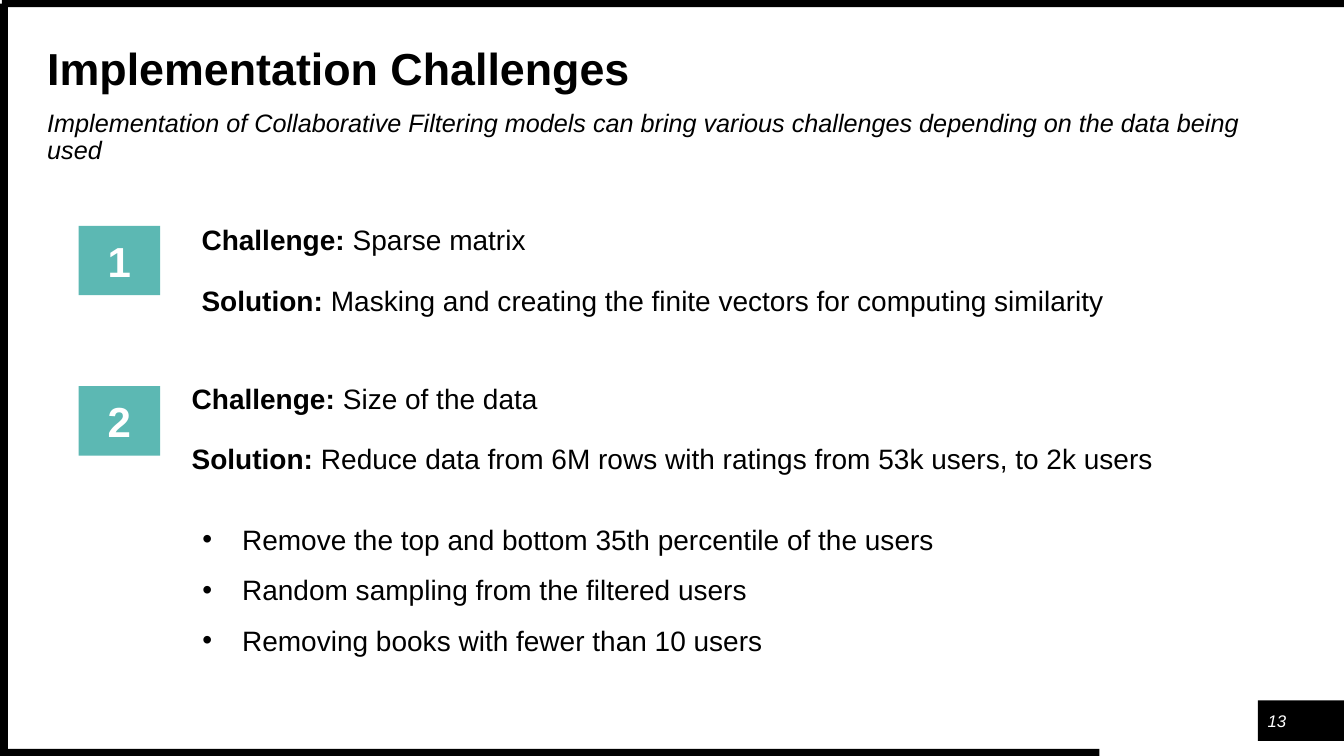
"""Build the Implementation Challenges slide."""
from dataclasses import dataclass

from lxml import etree
from pptx import Presentation
from pptx.dml.color import RGBColor
from pptx.enum.shapes import MSO_SHAPE
from pptx.enum.text import MSO_ANCHOR, MSO_AUTO_SIZE, PP_ALIGN
from pptx.oxml.ns import qn
from pptx.util import Cm, Pt

RECTANGLE = MSO_SHAPE.RECTANGLE
LEFT, CENTER = PP_ALIGN.LEFT, PP_ALIGN.CENTER
TOP, MIDDLE = MSO_ANCHOR.TOP, MSO_ANCHOR.MIDDLE
FIXED = MSO_AUTO_SIZE.NONE


@dataclass(frozen=True)
class Theme:
    font: str = "Arial"
    ink: str = "000000"
    light: str = "FFFFFF"
    accent: str = "5CB8B3"
    title: int = 32
    badge: int = 30
    body: int = 20
    subtitle: int = 18
    number: int = 12
    tight: float = 0.9
    loose: float = 1.5
    gap: float = 21.5


class Page:
    def __init__(self, deck, theme):
        self.theme = theme
        self.slide = deck.slides.add_slide(deck.slide_layouts[3])

    def place(self, shape, area, anchor=TOP, inset=0):
        shape.left, shape.top, shape.width, shape.height = map(Cm, area)
        frame = shape.text_frame
        frame.word_wrap = True
        frame.auto_size = FIXED
        frame.vertical_anchor = anchor
        frame.margin_left = frame.margin_right = Cm(inset)
        frame.margin_top = frame.margin_bottom = Cm(inset)
        return frame

    def placeholder(self, index, area, anchor=TOP):
        return self.place(self.slide.placeholders[index], area, anchor)

    def textbox(self, area, anchor=TOP, inset=0):
        box = self.slide.shapes.add_textbox(*map(Cm, area))
        return self.place(box, area, anchor, inset)

    def rectangle(self, area, color):
        box = self.slide.shapes.add_shape(RECTANGLE, *map(Cm, area))
        box.shadow.inherit = False
        box.fill.solid()
        box.fill.fore_color.rgb = RGBColor.from_string(color)
        box.line.fill.background()
        return box

    def para(self, frame, spacing=1.0, before=0, align=LEFT, bullet=False):
        first = frame.paragraphs[0]
        para = frame.add_paragraph() if first.runs else first
        para.alignment = align
        para.line_spacing = spacing
        para.space_before, para.space_after = Pt(before), Pt(0)
        properties = para._p.get_or_add_pPr()
        properties.set("marL", str(Cm(1.27 if bullet else 0)))
        properties.set("indent", str(Cm(-1 if bullet else 0)))
        if bullet:
            color = etree.SubElement(properties, qn("a:buClr"))
            etree.SubElement(color, qn("a:srgbClr"), val=self.theme.ink)
            etree.SubElement(properties, qn("a:buFont"), typeface=self.theme.font)
            etree.SubElement(properties, qn("a:buChar"), char="•")
        else:
            etree.SubElement(properties, qn("a:buNone"))
        return para

    def span(self, para, text, size, color=None, bold=False, italic=False):
        span = para.add_run()
        span.text = text
        font = span.font
        font.name, font.size = self.theme.font, Pt(size)
        font.bold, font.italic = bold, italic
        font.color.rgb = RGBColor.from_string(color or self.theme.ink)

    def badge(self, top, label):
        area = (1.98, top, 2.06, 1.75)
        box = self.rectangle(area, self.theme.accent)
        para = self.para(self.place(box, area, MIDDLE, 0.25), align=CENTER)
        self.span(para, label, self.theme.badge, self.theme.light, bold=True)

    def challenge(self, frame, problem, solution):
        rows = (("Challenge: ", problem, 0), ("Solution: ", solution, self.theme.gap))
        for label, text, before in rows:
            para = self.para(frame, self.theme.tight, before)
            self.span(para, label, self.theme.body, bold=True)
            self.span(para, text, self.theme.body)

    def bullets(self, frame, items):
        for index, item in enumerate(items):
            before = 0 if index else self.theme.gap
            para = self.para(frame, self.theme.loose, before, bullet=True)
            self.span(para, item, self.theme.body)


def main():
    deck = Presentation()
    deck.slide_width, deck.slide_height = Cm(33.87), Cm(19.05)
    theme = Theme()
    page = Page(deck, theme)

    frame_bars = (
        (31.7, 17.65, 2.17, 1.02),
        (0, 18.87, 27.71, 0.18),
        (0.05, 0, 33.82, 0.18),
        (0, 0.09, 0.2, 18.96),
    )
    for area in frame_bars:
        page.rectangle(area, theme.ink)

    title = page.placeholder(0, (1.19, 1.19, 25.55, 1.19), MIDDLE)
    page.span(page.para(title, theme.tight), "Implementation Challenges",
              theme.title, bold=True)

    subtitle = page.placeholder(1, (1.19, 2.79, 30.61, 1.02))
    page.span(page.para(subtitle, theme.tight),
              "Implementation of Collaborative Filtering models can bring various "
              "challenges depending on the data being used",
              theme.subtitle, italic=True)

    page.badge(5.69, "1")
    sparse = page.textbox((4.83, 5.46, 24.97, 3.18), inset=0.25)
    page.challenge(sparse, "Sparse matrix",
                   "Masking and creating the finite vectors for computing similarity")

    page.badge(9.73, "2")
    size = page.placeholder(2, (4.83, 9.7, 24.97, 7.09))
    page.challenge(size, "Size of the data",
                   "Reduce data from 6M rows with ratings from 53k users, to 2k users")
    page.bullets(size, (
        "Remove the top and bottom 35th percentile of the users",
        "Random sampling from the filtered users",
        "Removing books with fewer than 10 users",
    ))

    number = page.textbox((31.8, 17.78, 0.76, 0.76), MIDDLE)
    page.span(page.para(number, align=CENTER), "13", theme.number,
              theme.light, italic=True)

    deck.save("out.pptx")


if __name__ == "__main__":
    main()
